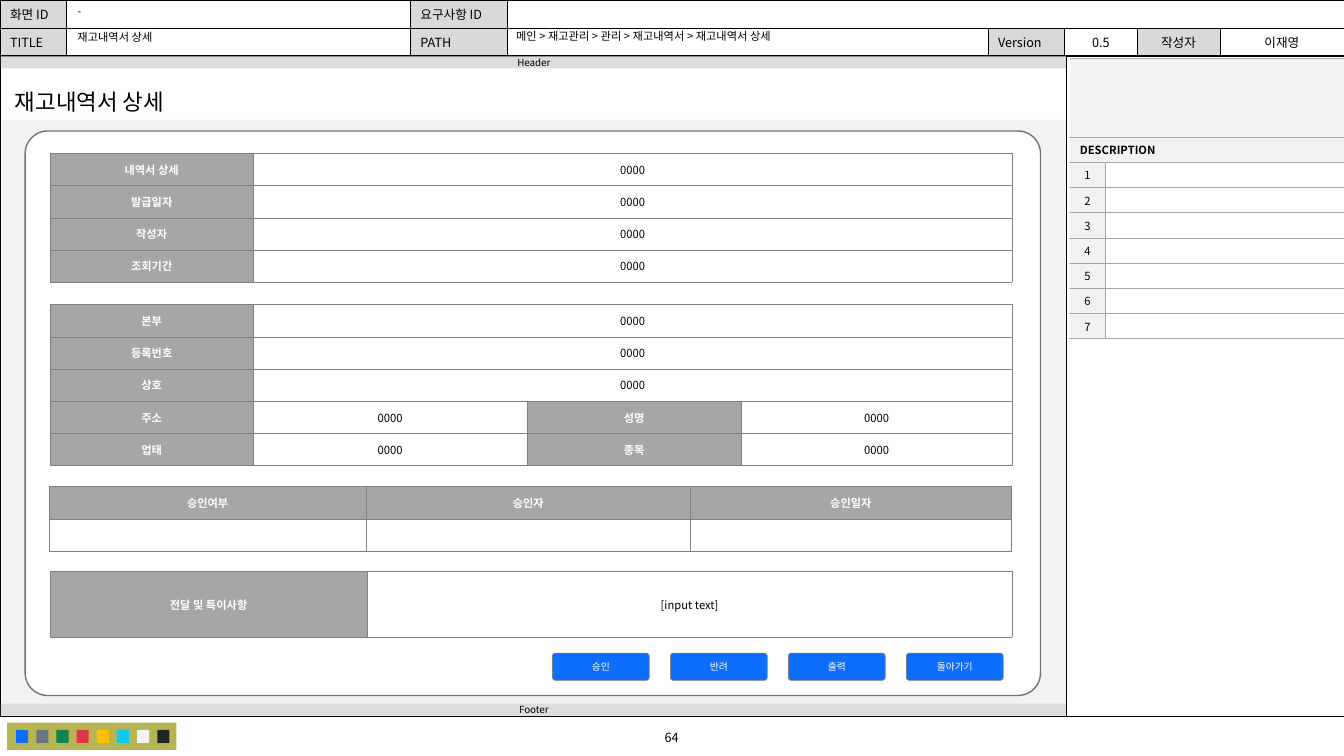
"""Build the stock statement detail screen of a storyboard."""
from lxml import etree
from pptx import Presentation
from pptx.dml.color import RGBColor
from pptx.enum.shapes import MSO_CONNECTOR, MSO_SHAPE
from pptx.enum.text import MSO_ANCHOR, PP_ALIGN
from pptx.oxml.ns import qn
from pptx.util import Inches, Pt

RECT, ROUND = MSO_SHAPE.RECTANGLE, MSO_SHAPE.ROUNDED_RECTANGLE
LEFT, CENTER = PP_ALIGN.LEFT, PP_ALIGN.CENTER
MIDDLE = MSO_ANCHOR.MIDDLE
FONT = "Noto Sans CJK KR"
HEX = {
    "black": "000000", "white": "FFFFFF", "label": "D9D9D9", "bar": "DDDDDD",
    "pale": "F2F2F2", "mid": "A6A6A6", "edge": "808080", "olive": "B7B553",
    "blue": "0D6EFD", "slate": "6C757D", "green": "10834E", "red": "DC3545",
    "amber": "FFBE00", "cyan": "0DCAF0", "dark": "212529",
}
RGB = {name: RGBColor.from_string(code) for name, code in HEX.items()}


def write(frame, text, size, ink="black", bold=False, align=LEFT, font=FONT):
    """Put one styled line of text in a frame."""
    para = frame.paragraphs[0]
    para.text = text
    para.alignment = align
    if not text:
        etree.SubElement(para._p, qn("a:endParaRPr"), sz=str(size * 100))
    for run in para.runs:
        run.font.size = Pt(size)
        run.font.name = font
        run.font.bold = bold
        run.font.color.rgb = RGB[ink]
        etree.SubElement(run._r.get_or_add_rPr(), qn("a:ea"), typeface=FONT)


def grid(left, top, cols, rows, cells, heads, fill="mid", ink="white",
         bold=True, size=8, line="edge", width=0.25, pad=(0.06, 0.04)):
    """Add a bordered table; None joins a cell to the one on its left."""
    table = slide.shapes.add_table(
        len(rows), len(cols), Inches(left), Inches(top),
        Inches(sum(cols)), Inches(sum(rows))).table
    table.first_row = table.horz_banding = False
    for col, span in zip(table.columns, cols):
        col.width = Inches(span)
    for row, span in zip(table.rows, rows):
        row.height = Inches(span)
    for r, texts in enumerate(cells):
        for c, text in enumerate(texts):
            cell = table.cell(r, c)
            head = c in heads and bool(text)
            cell.fill.solid()
            cell.fill.fore_color.rgb = RGB[fill if head else "white"]
            cell.vertical_anchor = MIDDLE
            cell.margin_left = cell.margin_right = Inches(pad[0])
            cell.margin_top = cell.margin_bottom = Inches(pad[1])
            write(cell.text_frame, text or "", size, ink if head else "black",
                  head and bold, CENTER)
            props = cell._tc.get_or_add_tcPr()
            for n, side in enumerate(("lnL", "lnR", "lnT", "lnB")):
                rule = etree.Element(qn("a:" + side), w=str(Pt(width)))
                paint = etree.SubElement(rule, qn("a:solidFill"))
                etree.SubElement(paint, qn("a:srgbClr"), val=HEX[line])
                props.insert(n, rule)
        for c, text in enumerate(texts):
            if text is not None:
                end = c
                while end + 1 < len(texts) and texts[end + 1] is None:
                    end += 1
                if end > c:
                    table.cell(r, c).merge(table.cell(r, end))
    return table


prs = Presentation()
prs.slide_width, prs.slide_height = Inches(13.33), Inches(7.5)
slide = prs.slides.add_slide(prs.slide_layouts[6])

info = grid(
    0, 0, [0.66, 3.41, 0.96, 4.77, 0.76, 0.72, 0.82, 1.23], [0.28] * 2,
    [["화면 ID", "", "요구사항 ID", "", None, None, None, None],
     ["TITLE", "", "PATH", "", "Version", "0.5", "작성자", "이재영"]],
    (0, 2, 4, 6), "label", "black", False, 9, "black", 0.5, (0.1, 0.04))
for row in info.rows:
    for c in (0, 2, 4):
        row.cells[c].text_frame.paragraphs[0].alignment = LEFT

blocks = [
    (0, 0.55, 13.33, 6.56, None, "black", 0.25, ""),
    (0.07, 7.17, 1.68, 0.27, "olive", None, 0, ""),
    (0.02, 1.19, 10.56, 5.91, "pale", None, 0, ""),
    (0.01, 6.98, 10.57, 0.12, "bar", None, 0, "Footer"),
    (0.01, 0.56, 10.57, 0.12, "bar", None, 0, "Header"),
    (0.25, 1.3, 10.07, 5.6, "white", "slate", 1, ""),
]
chips = ["blue", "slate", "green", "red", "amber", "cyan", "pale", "dark"]
blocks += [(0.16 + 0.2 * n, 7.24, 0.12, 0.13, hue, None, 0, "")
           for n, hue in enumerate(chips)]
keys = ["승인", "반려", "출력", "돌아가기"]
blocks += [(5.48 + 1.17 * n, 6.48, 0.96, 0.27, "blue", "edge", 0.5, key)
           for n, key in enumerate(keys)]
for x, y, w, h, fill, line, width, text in blocks:
    shape = slide.shapes.add_shape(
        ROUND if fill and line else RECT,
        Inches(x), Inches(y), Inches(w), Inches(h))
    shape.shadow.inherit = False
    if fill:
        shape.fill.solid()
        shape.fill.fore_color.rgb = RGB[fill]
    else:
        shape.fill.background()
    if line:
        shape.line.color.rgb = RGB[line]
        shape.line.width = Pt(width)
    else:
        shape.line.fill.background()
    if fill and line:
        shape.adjustments[0] = 0.11 if text else 0.04
    if text:
        frame = shape.text_frame
        frame.vertical_anchor = MIDDLE
        frame.margin_top = frame.margin_bottom = 0
        key = text in keys
        write(frame, text, 7, "white" if key else "black", False, CENTER,
              "Cabin" if key else FONT)

rail = slide.shapes.add_connector(
    MSO_CONNECTOR.STRAIGHT, Inches(10.58), Inches(0.56),
    Inches(10.58), Inches(7.11))
rail.line.color.rgb = RGB["black"]
rail.line.width = Pt(0.5)
etree.SubElement(rail._element.spPr, qn("a:effectLst"))

notes = grid(
    10.61, 0.58, [0.35, 2.37], [0.78, 0.25] + [0.25] * 7,
    [["", None], ["DESCRIPTION", None]] + [[str(n), ""] for n in range(1, 8)],
    (0,), "pale", "black", False, 8, "mid", 0.5, (0, 0))
for r in range(len(notes.rows)):
    props = notes.cell(r, 0)._tc.tcPr
    props.remove(props.find(qn("a:lnL")))
blank, head = notes.cell(0, 0), notes.cell(1, 0)
blank.fill.solid()
blank.fill.fore_color.rgb = RGB["pale"]
head.margin_left = Inches(0.1)
title = head.text_frame.paragraphs[0]
title.alignment = LEFT
title.runs[0].font.bold = True

labels = [
    (5.02, 0.26, 4.74, 0.23, 8, LEFT,
     "메인 > 재고관리 > 관리 > 재고내역서 > 재고내역서 상세"),
    (0.67, 0.01, 3.4, 0.23, 8, LEFT, "-"),
    (0.67, 0.27, 3.38, 0.2, 8, LEFT, "재고내역서 상세"),
    (0.05, 0.83, 1.85, 0.37, 16, LEFT, "재고내역서 상세"),
    (5.37, 7.19, 2.58, 0.25, 9, CENTER, "64"),
]
for x, y, w, h, size, align, text in labels:
    box = slide.shapes.add_textbox(Inches(x), Inches(y), Inches(w), Inches(h))
    box.text_frame.word_wrap = True
    write(box.text_frame, text, size, align=align)
    if size == 8:
        box.text_frame.paragraphs[0].line_spacing = 0.9

grid(0.5, 1.52, [2.01, 7.53], [0.32] * 4,
     [[name, "0000"] for name in ("내역서 상세", "발급일자", "작성자", "조회기간")],
     (0,))
grid(0.5, 3.02, [2.01, 2.72, 2.12, 2.69], [0.32] * 5,
     [[name, "0000", None, None] for name in ("본부", "등록번호", "상호")]
     + [["주소", "0000", "성명", "0000"], ["업태", "0000", "종목", "0000"]],
     (0, 2))
grid(0.49, 4.82, [3.14, 3.22, 3.18], [0.33, 0.32],
     [["승인여부", "승인자", "승인일자"], ["", "", ""]], (0, 1, 2))
grid(0.5, 5.67, [3.14, 6.4], [0.65], [["전달 및 특이사항", "[input text]"]], (0,))

prs.save("out.pptx")
